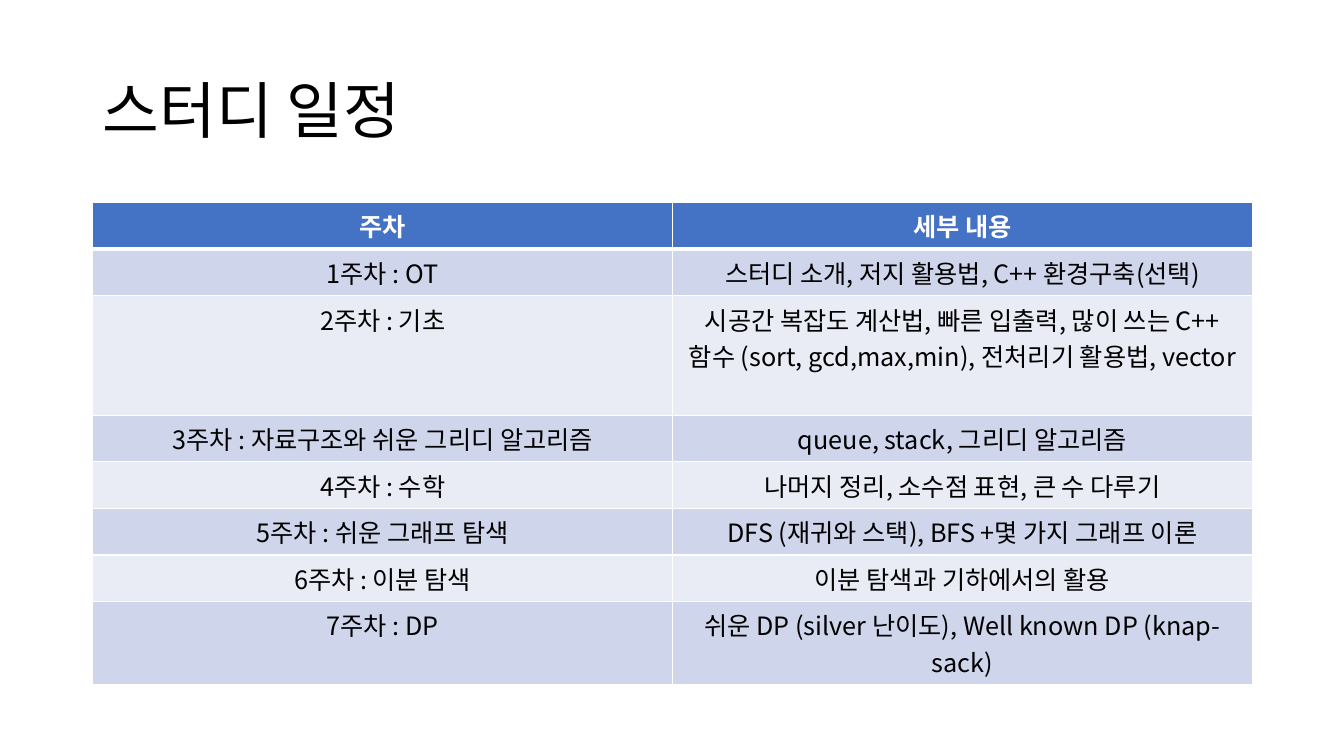
import pptx
import pptx.util
import pptx.dml.color
import pptx.enum.text
import pptx.oxml
import pptx.oxml.ns
from lxml import etree

Inches = pptx.util.Inches
Pt = pptx.util.Pt
qn = pptx.oxml.ns.qn

ROWS = [
    ("주차", "세부 내용"),
    ("1주차 : OT", "스터디 소개, 저지 활용법, C++ 환경구축(선택)"),
    ("2주차 : 기초", "시공간 복잡도 계산법, 빠른 입출력, 많이 쓰는 C++ 함수 "
                  "(sort, gcd,max,min), 전처리기 활용법, vector"),
    ("3주차 : 자료구조와 쉬운 그리디 알고리즘", "queue, stack, 그리디 알고리즘"),
    ("4주차 : 수학", "나머지 정리, 소수점 표현, 큰 수 다루기"),
    ("5주차 : 쉬운 그래프 탐색", "DFS (재귀와 스택), BFS +몇 가지 그래프 이론"),
    ("6주차 : 이분 탐색", "이분 탐색과 기하에서의 활용"),
    ("7주차 : DP", "쉬운 DP (silver 난이도), Well known DP (knap-sack)"),
]
# Rows whose text runs over several lines
TALL = {2: 1.18, 7: 0.82}


def color(code):
    return pptx.dml.color.RGBColor.from_string(code)


class Deck:
    font = "Noto Sans CJK KR"
    head = "4472C4"
    bands = ("E9EBF5", "CFD5EA")
    white = "FFFFFF"
    black = "000000"

    def __init__(self):
        self.prs = pptx.Presentation()
        self.prs.slide_width = Inches(13.33)
        self.prs.slide_height = Inches(7.5)
        self.slide = self.prs.slides.add_slide(self.prs.slide_layouts[5])

    def style(self, par, size, code, bold=False):
        for run in par.runs:
            run.font.name = self.font
            run.font.size = Pt(size)
            run.font.bold = bold
            run.font.color.rgb = color(code)
            east = etree.SubElement(run.font._element, qn("a:ea"))
            east.set("typeface", self.font)

    def title(self, text, left, top, width, height):
        box = self.slide.shapes.title
        box.left, box.top = Inches(left), Inches(top)
        box.width, box.height = Inches(width), Inches(height)
        frame = box.text_frame
        frame.text = text
        frame.word_wrap = True
        frame.vertical_anchor = pptx.enum.text.MSO_ANCHOR.MIDDLE
        par = frame.paragraphs[0]
        par.alignment = pptx.enum.text.PP_ALIGN.LEFT
        par.line_spacing = 0.9
        self.style(par, 44, self.black)

    def border(self, cell, side, width):
        props = cell._tc.get_or_add_tcPr()
        line = etree.Element(qn("a:ln" + side), w=str(Pt(width)))
        fill = etree.SubElement(line, qn("a:solidFill"))
        etree.SubElement(fill, qn("a:srgbClr"), val=self.white)
        # Borders stand before the cell's fill
        props.insert(len(props) - 1, line)

    def cell(self, cell, text, row):
        first = row == 0
        cell.fill.solid()
        cell.fill.fore_color.rgb = color(
            self.head if first else self.bands[row % 2])
        cell.text_frame.text = text
        par = cell.text_frame.paragraphs[0]
        par.alignment = pptx.enum.text.PP_ALIGN.CENTER
        self.style(par, 18, self.white if first else self.black, first)
        for side in "LRTB":
            thick = (first and side == "B") or (row == 1 and side == "T")
            self.border(cell, side, 3 if thick else 1)

    def table(self, rows, left, top, width, tall, low=0.46):
        sizes = [tall.get(i, low) for i in range(len(rows))]
        table = self.slide.shapes.add_table(
            len(rows), len(rows[0]), Inches(left), Inches(top),
            Inches(width), Inches(sum(sizes))).table
        for i, texts in enumerate(rows):
            table.rows[i].height = Inches(sizes[i])
            for j, text in enumerate(texts):
                self.cell(table.cell(i, j), text, i)


def main():
    deck = Deck()
    # Heading
    deck.title("스터디 일정", 0.92, 0.4, 11.5, 1.45)
    # Weekly plan
    deck.table(ROWS, 0.92, 2.01, 11.5, TALL)
    deck.prs.save("out.pptx")


if __name__ == "__main__":
    main()
